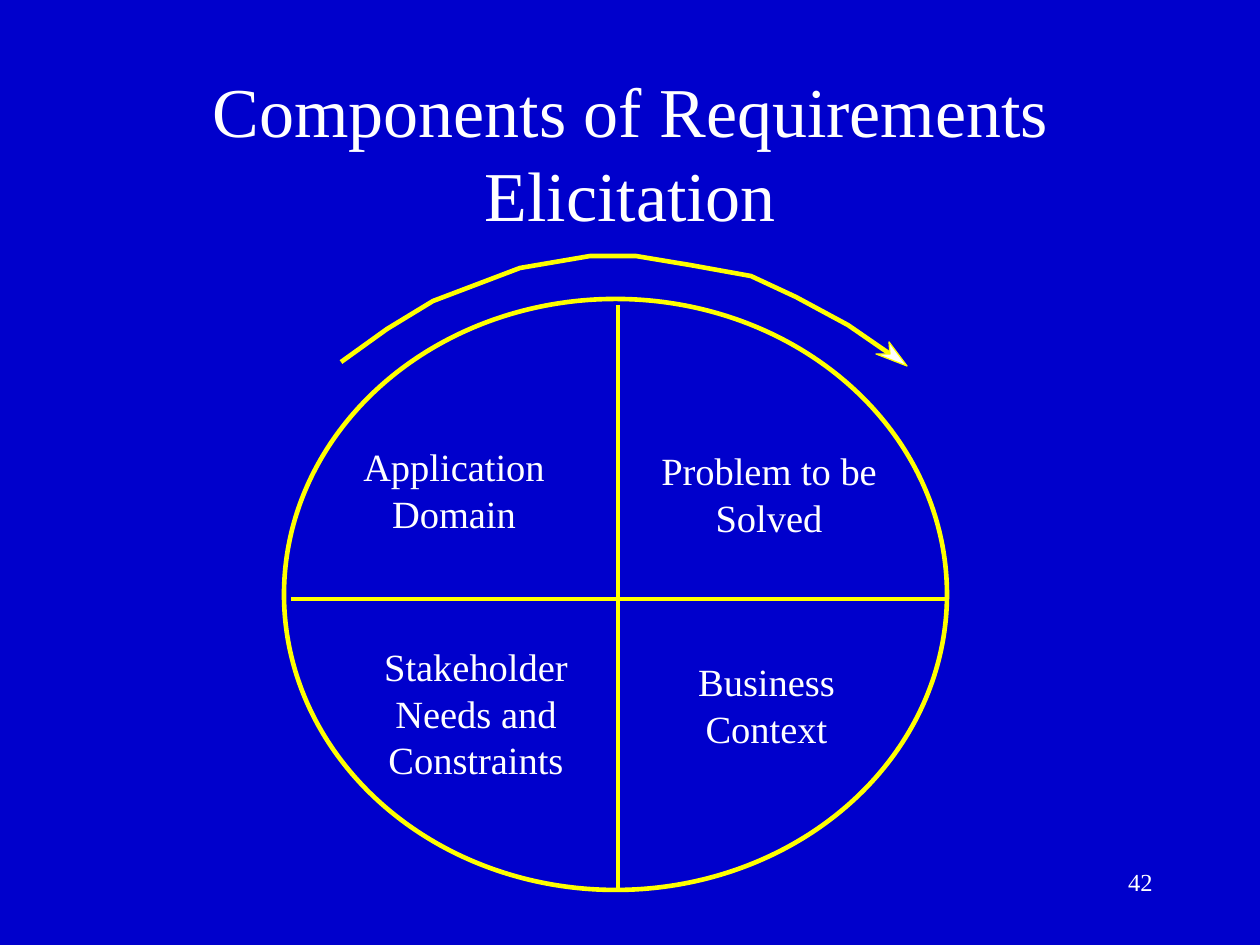
"""Build the slide on the components of requirements elicitation."""
from lxml import etree
from pptx import Presentation
from pptx.dml.color import RGBColor
from pptx.enum.shapes import MSO_CONNECTOR, MSO_SHAPE
from pptx.enum.text import MSO_ANCHOR, PP_ALIGN
from pptx.oxml.ns import qn
from pptx.util import Pt

OVAL, LINE = MSO_SHAPE.OVAL, MSO_CONNECTOR.STRAIGHT
TOP, BOTTOM = MSO_ANCHOR.TOP, MSO_ANCHOR.BOTTOM
CENTER, RIGHT = PP_ALIGN.CENTER, PP_ALIGN.RIGHT
SCALE = 914400 / 126
FONT, BACK, WHITE, YELLOW = "Times New Roman", "0000CC", "FFFFFF", "FFFF00"


def paint(part, color):
    if hasattr(part, "solid"):
        part.solid()
        part.fore_color.rgb = RGBColor.from_string(color)
    else:
        part.color.rgb = RGBColor.from_string(color)


def px(*nums):
    return [round(n * SCALE) for n in nums]


deck = Presentation()
deck.slide_width, deck.slide_height = px(1260, 945)
slide = deck.slides.add_slide(deck.slide_layouts[6])
paint(slide.background.fill, BACK)
shapes = slide.shapes

wheel = shapes.add_shape(OVAL, *px(284, 299, 663, 591))
wheel.shadow.inherit = False
wheel.fill.background()
paint(wheel.line, YELLOW)
wheel.line.width = Pt(2.64)

for ends in [(618, 305, 618, 888), (291, 599, 948, 599)]:
    spoke = shapes.add_connector(LINE, *px(*ends))
    etree.SubElement(spoke._element.spPr, qn("a:effectLst"))
    paint(spoke.line, YELLOW)
    spoke.line.width = Pt(2.64)

arc = [(341, 362), (387, 329), (433, 301), (520, 268), (590, 256), (636, 256),
       (690, 265), (751, 276), (796, 297), (848, 325), (890, 354)]
head = [(890, 354), (889, 342), (907, 366), (876, 354)]
for points, closed, width in [(arc, False, 2.64), (head, True, 0.75)]:
    pen = shapes.build_freeform(*points[0], scale=SCALE)
    pen.add_line_segments(points[1:], close=closed)
    shape = pen.convert_to_shape()
    shape.shadow.inherit = False
    paint(shape.line, YELLOW)
    shape.line.width = Pt(width)
    if closed:
        paint(shape.fill, WHITE)
    else:
        shape.fill.background()

texts = [
    (["Components of Requirements Elicitation"], (95, 84, 1071, 158), 40, 48, CENTER, BOTTOM, True),
    (["Application", "Domain"], (349, 437, 210, 106), 22, 26.5, CENTER, TOP, False),
    (["Problem to be", "Solved"], (647, 441, 244, 106), 22, 26.5, CENTER, TOP, False),
    (["Stakeholder", "Needs and", "Constraints"], (370, 637, 212, 151), 22, 26.5, CENTER, TOP, False),
    (["Business", "Context"], (684, 652, 165, 106), 22, 26.5, CENTER, TOP, False),
    (["42"], (903, 860, 262, 63), 14, 17, RIGHT, TOP, True),
]
for lines, place, size, pitch, align, anchor, wrap in texts:
    frame = shapes.add_textbox(*px(*place)).text_frame
    frame.word_wrap = wrap
    frame.vertical_anchor = anchor
    frame.text = "\n".join(lines)
    for para in frame.paragraphs:
        para.alignment = align
        para.line_spacing = Pt(pitch)
        para.font.name = FONT
        para.font.size = Pt(size)
        paint(para.font.fill, WHITE)

deck.save("out.pptx")
